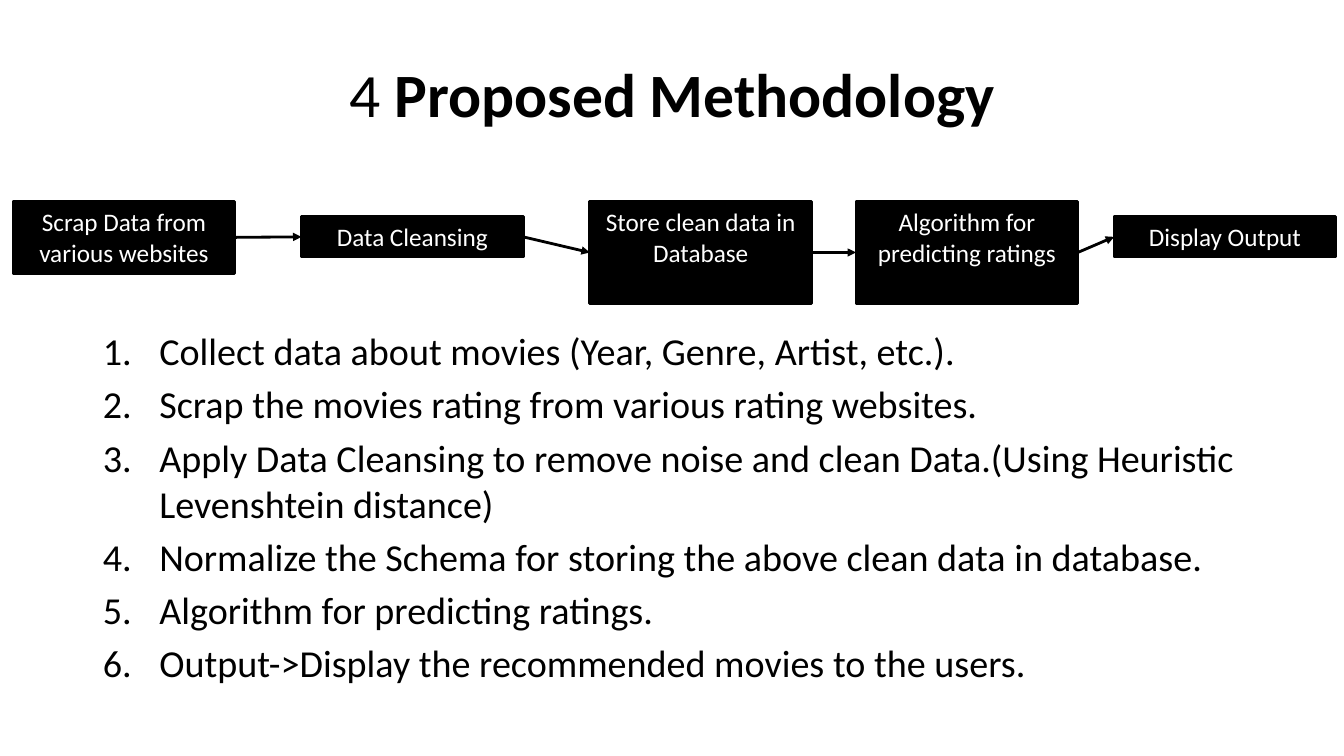
"""Build the Proposed Methodology slide: a title, a five-box flow and a numbered list."""
from lxml import etree
from pptx import Presentation
from pptx.dml.color import RGBColor
from pptx.enum.shapes import MSO_CONNECTOR as CONN, MSO_SHAPE as SHAPE
from pptx.enum.text import MSO_ANCHOR as ANCHOR, MSO_AUTO_SIZE as AUTO, PP_ALIGN as ALIGN
from pptx.oxml.ns import qn
from pptx.util import Inches, Pt

COLORS = {"ink": "000000", "paper": "FFFFFF"}
FONT = "Calibri"
TITLE = [("4", False), (" Proposed Methodology", True)]
BOX_W = 2.2
FLOW = [
    (0.13, 2, 0.71, ["Scrap Data from various websites"]),
    (2.99, 2.15, 0.4, ["Data Cleansing"]),
    (5.85, 2, 1.01, ["Store clean data in", "Database"]),
    (8.49, 2, 1.01, ["Algorithm for predicting ratings"]),
    (11.05, 2.15, 0.4, ["Display Output"]),
]
STEPS = [
    "Collect data about movies (Year, Genre, Artist, etc.).",
    "Scrap the movies rating from various rating websites.",
    "Apply Data Cleansing to remove noise and clean Data.(Using Heuristic Levenshtein distance)",
    "Normalize the Schema for storing the above clean data in database.",
    "Algorithm for predicting ratings.",
    "Output->Display the recommended movies to the users.",
]


def rgb(name):
    return RGBColor.from_string(COLORS[name])


def place(sp, left, top, width, height):
    sp.left, sp.top, sp.width, sp.height = map(Inches, (left, top, width, height))


def add_run(p, text, size, color="ink", bold=False):
    r = p.add_run()
    r.text = text
    r.font.name, r.font.size, r.font.bold = FONT, Pt(size), bold
    r.font.color.rgb = rgb(color)


def paragraphs(tf, texts):
    for i, text in enumerate(texts):
        yield (tf.add_paragraph() if i else tf.paragraphs[0]), text


def number(p):
    pPr = p._p.get_or_add_pPr()
    pPr.set("marL", str(Inches(0.56)))
    pPr.set("indent", str(-Inches(0.56)))
    etree.SubElement(pPr, qn("a:buFont"), typeface="+mj-lt")
    etree.SubElement(pPr, qn("a:buAutoNum"), type="arabicPeriod")


def add_box(s, left, top, height, lines):
    sp = s.shapes.add_shape(SHAPE.RECTANGLE, *map(Inches, (left, top, BOX_W, height)))
    sp.shadow.inherit = False
    sp.fill.solid()
    sp.fill.fore_color.rgb = sp.line.color.rgb = rgb("ink")
    sp.line.width = Pt(2)
    tf = sp.text_frame
    tf.word_wrap, tf.vertical_anchor = True, ANCHOR.TOP
    for p, line in paragraphs(tf, lines):
        p.alignment = ALIGN.CENTER
        add_run(p, line, 18, "paper")
    return sp


def add_arrow(s, start, end):
    cx = s.shapes.add_connector(CONN.STRAIGHT, 0, 0, 0, 0)
    cx.begin_connect(start, 3)
    cx.end_connect(end, 1)
    cx.line.color.rgb, cx.line.width = rgb("ink"), Pt(2)
    etree.SubElement(cx.line._get_or_add_ln(), qn("a:tailEnd"), type="triangle")
    etree.SubElement(cx._element.spPr, qn("a:effectLst"))


prs = Presentation()
prs.slide_width, prs.slide_height = Inches(13.33), Inches(7.5)
s = prs.slides.add_slide(prs.slide_layouts[1])
s.background.fill.solid()
s.background.fill.fore_color.rgb = rgb("paper")

title, body = s.placeholders
place(title, 0.67, 0.3, 12, 1.25)
title.text_frame.vertical_anchor = ANCHOR.MIDDLE
p = title.text_frame.paragraphs[0]
p.alignment = ALIGN.CENTER
for text, bold in TITLE:
    add_run(p, text, 44, bold=bold)

place(body, 0.92, 3.2, 11.5, 3.65)
body.text_frame.auto_size = AUTO.NONE
for p, step in paragraphs(body.text_frame, STEPS):
    p.space_before = Pt(5.4)
    number(p)
    add_run(p, step, 27.2)

boxes = [add_box(s, *step) for step in FLOW]
for start, end in zip(boxes, boxes[1:]):
    add_arrow(s, start, end)

prs.save("out.pptx")
